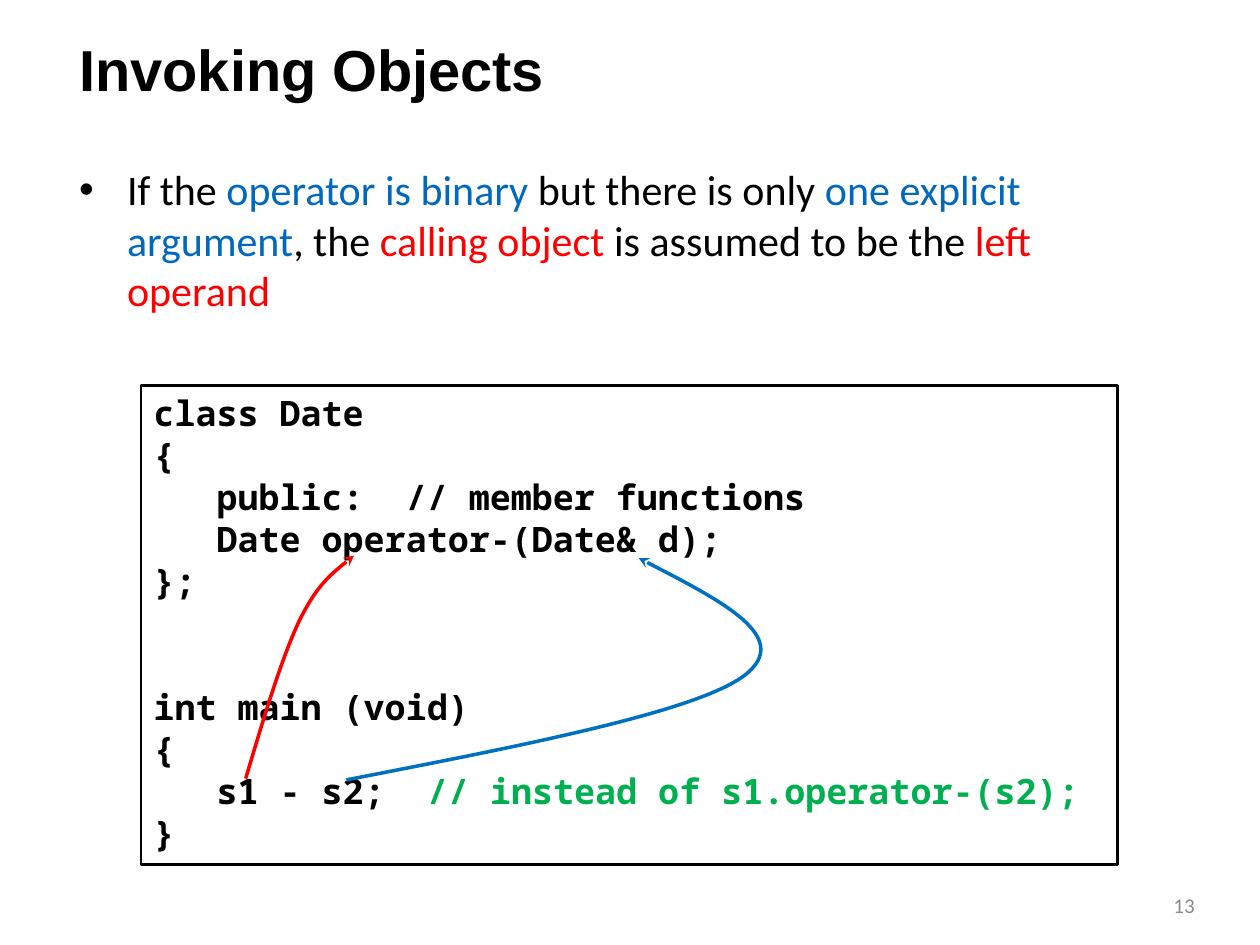
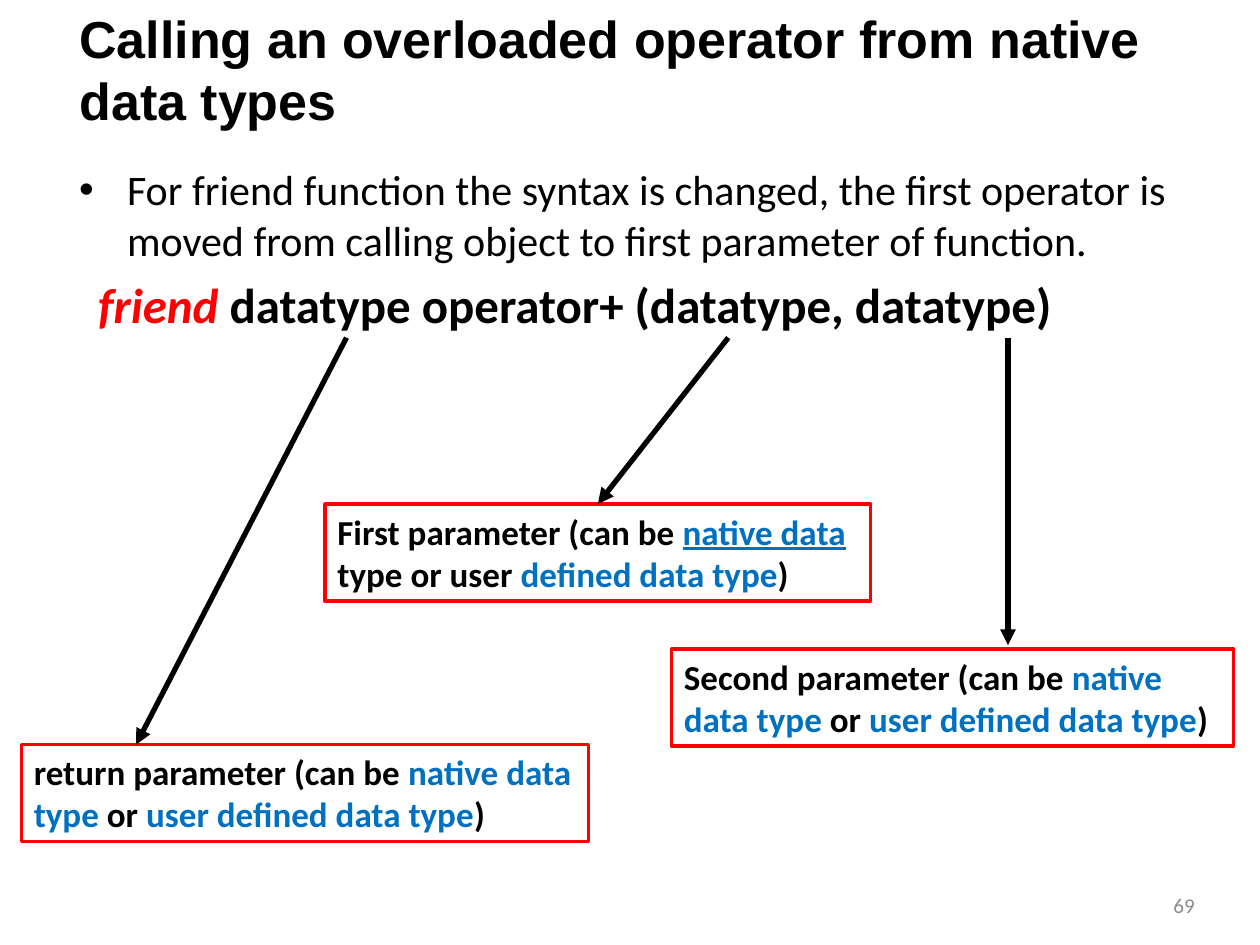
from dataclasses import dataclass
from lxml.etree import SubElement
from pptx import Presentation
from pptx.dml.color import RGBColor as Rgb
from pptx.enum.shapes import MSO_CONNECTOR as Conn, MSO_SHAPE as Geom
from pptx.enum.text import MSO_ANCHOR as Anchor, MSO_AUTO_SIZE as Fit, PP_ALIGN as Align
from pptx.oxml.ns import qn
from pptx.util import Inches, Pt


@dataclass(frozen=True)
class Theme:
    """Colours, fonts and type sizes of the deck."""
    black: str = "000000"
    white: str = "FFFFFF"
    red: str = "FF0000"
    blue: str = "0070C0"
    deep: str = "0069BF"
    green: str = "00B050"
    gray: str = "8C8C8C"
    head: str = "Arial"
    sans: str = "Calibri"
    mono: str = "Noto Sans Mono"
    title: float = 33
    small: float = 29.7
    body: float = 24
    proto: float = 28
    label: float = 20
    foot: float = 12


T = Theme()
CODE = ["class Date", "{", "   public:  // member functions",
        "   Date operator-(Date& d);", "};", "int main (void)", "{",
        [("   s1 - s2;  ", T.black), ("// instead of s1.operator-(s2);", T.green)], "}"]


def inch(*nums):
    """Turn numbers into lengths."""
    return [Inches(n) for n in nums]


def write(frame, runs, new=False, font=T.sans, size=T.body, bold=False,
          align=Align.LEFT, before=0, lead=None, left=0, bullet=False):
    """Write one paragraph; runs is a string or (text, colour, flags) tuples."""
    para = frame.add_paragraph() if new else frame.paragraphs[0]
    props = para._p.get_or_add_pPr()
    if left:
        props.set("marL", str(Inches(left)))
    if bullet:
        props.set("indent", str(-Inches(left)))
        SubElement(props, qn("a:buFont")).set("typeface", T.head)
        SubElement(props, qn("a:buChar")).set("char", "•")
    para.alignment = align
    if before:
        para.space_before = Pt(before)
    if lead:
        para.line_spacing = Pt(lead)
    for text, color, *flags in [(runs, T.black)] if isinstance(runs, str) else runs:
        run = para.add_run()
        run.text = text
        face = run.font
        face.name, face.size, face.bold = font, Pt(size), bold
        face.color.rgb = Rgb.from_string(color)
        face.italic, face.underline = "i" in flags, "u" in flags


def frame(slide, at, anchor=Anchor.TOP):
    """Add a wrapping text box and return its frame."""
    text = slide.shapes.add_textbox(*inch(*at)).text_frame
    text.word_wrap, text.vertical_anchor = True, anchor
    return text


def box(slide, at, color, width, fill=None):
    """Add an outlined rectangle for text."""
    shape = slide.shapes.add_shape(Geom.RECTANGLE, *inch(*at))
    shape.shadow.inherit = False
    if fill:
        shape.fill.solid()
        shape.fill.fore_color.rgb = Rgb.from_string(fill)
    else:
        shape.fill.background()
    shape.line.color.rgb = Rgb.from_string(color)
    shape.line.width = Pt(width)
    shape.text_frame.word_wrap = True
    shape.text_frame.vertical_anchor = Anchor.TOP
    return shape


def label(slide, at, runs):
    """Add a red-framed note."""
    shape = box(slide, at, T.red, 2, T.white)
    write(shape.text_frame, runs, size=T.label, bold=True)
    return shape


def tip(shape, color, width, kind):
    """Colour a line and put an arrowhead at its end."""
    shape.line.color.rgb = Rgb.from_string(color)
    shape.line.width = Pt(width)
    line = shape._element.spPr.find(qn("a:ln"))
    SubElement(line, qn("a:tailEnd")).set("type", kind)


def arrow(slide, start, end, goal=None):
    """Draw a straight arrow, joined to the top of goal if given."""
    line = slide.shapes.add_connector(Conn.STRAIGHT, *inch(*start, *end))
    if goal:
        line.end_connect(goal, 0)
    tip(line, T.black, 3, "triangle")
    SubElement(line._element.spPr, qn("a:effectLst"))


def curve(slide, start, knots, color):
    """Draw a Bézier arrow; each three knots make one segment."""
    form = slide.shapes.build_freeform(*inch(*start))
    form.add_line_segments([inch(*knot) for knot in knots], close=False)
    shape = form.convert_to_shape()
    shape.shadow.inherit = False
    shape.fill.background()
    tip(shape, color, 2, "stealth")
    legs = list(shape._element.iter(qn("a:lnTo")))
    for i in range(0, len(legs), 3):
        root = legs[i].getparent()
        bend = SubElement(root, qn("a:cubicBezTo"))
        for leg in legs[i:i + 3]:
            bend.append(leg[0])
            root.remove(leg)


def page(deck, title, size, num):
    """Add a slide with its title and number."""
    slide = deck.slides.add_slide(deck.slide_layouts[5])
    head = slide.shapes.title
    head.left, head.top, head.width, head.height = inch(0.53, 0.09, 8.92, 0.91)
    text = head.text_frame
    text.auto_size, text.word_wrap = Fit.NONE, True
    text.vertical_anchor = Anchor.MIDDLE
    write(text, title, font=T.head, size=size, bold=True)
    foot = frame(slide, (7.25, 6.98, 2.33, 0.4), Anchor.MIDDLE)
    write(foot, [(num, T.gray)], size=T.foot, align=Align.RIGHT)
    return slide


def point(slide, runs):
    """Add the body with its bullet and return the frame."""
    body = frame(slide, (0.53, 1.25, 8.92, 5.7))
    write(body, runs, left=0.38, bullet=True)
    return body


def invoke(deck):
    """Build the slide on the calling object."""
    slide = page(deck, "Invoking Objects", T.title, "13")
    point(slide, [("If the ", T.black), ("operator is binary ", T.deep),
                  ("but there is only ", T.black), ("one explicit argument", T.deep),
                  (", the ", T.black), ("calling object ", T.red),
                  ("is assumed to be the ", T.black), ("left operand", T.red)])
    code = box(slide, (1.12, 3.06, 7.75, 3.8), T.black, 1.5).text_frame
    lead = 1.2 * T.label
    for i, row in enumerate(CODE):
        gap = 2 * lead if row == "int main (void)" else 0
        write(code, row, new=i > 0, font=T.mono, size=T.label, bold=True,
              lead=lead, before=gap)
    curve(slide, (1.95, 6.18), [(2.09, 5.71), (2.23, 5.24), (2.37, 4.94),
                                (2.51, 4.65), (2.66, 4.53), (2.81, 4.41)], T.red)
    curve(slide, (2.75, 6.19), [(4.14, 5.92), (5.53, 5.65), (5.91, 5.36),
                                (6.3, 5.06), (5.69, 4.75), (5.07, 4.43)], T.blue)


def native(deck):
    """Build the slide on friend operators."""
    slide = page(deck, "Calling an overloaded operator from native data types",
                 T.small, "69")
    body = point(slide, "For friend function the syntax is changed, the first operator "
                        "is moved from calling object to first parameter of function.")
    write(body, [("friend ", T.red, "i"),
                 ("datatype operator+ (datatype, datatype)", T.black)],
          new=True, size=T.proto, bold=True, before=0.2 * T.proto, left=0.15)
    kinds = [("native data type", T.blue), (" or ", T.black),
             ("user defined data type", T.blue), (")", T.black)]
    label(slide, (0.17, 5.91, 4.5, 0.77),
          [("return parameter (can be ", T.black), *kinds])
    label(slide, (5.33, 5.15, 4.46, 0.77),
          [("Second parameter (can be ", T.black), *kinds])
    first = label(slide, (2.58, 4, 4.33, 0.77),
                  [("First parameter (can be ", T.black), ("native data ", T.blue, "u"),
                   ("type or user ", T.black), ("defined data type", T.blue),
                   (")", T.black)])
    top = 2.68
    arrow(slide, (2.75, top), (1.08, 5.91))
    arrow(slide, (8, top), (8, 5.12))
    arrow(slide, (5.78, top), (4.75, 4), first)


def main():
    """Build and save the deck."""
    deck = Presentation()
    deck.slide_width, deck.slide_height = inch(10, 7.5)
    invoke(deck)
    native(deck)
    deck.save("out.pptx")


if __name__ == "__main__":
    main()
